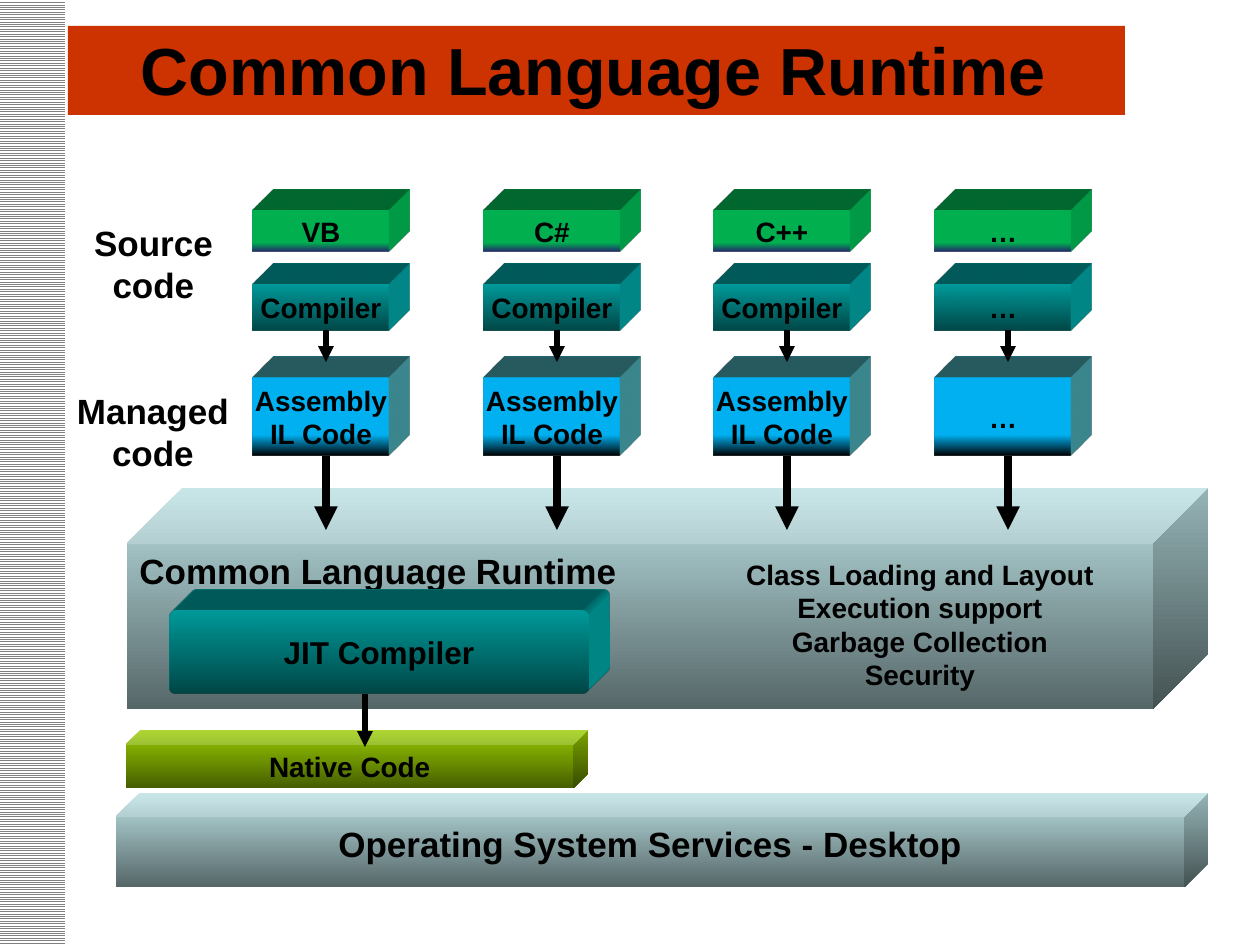
from dataclasses import dataclass
from lxml.etree import SubElement
from pptx import Presentation
from pptx.dml.color import RGBColor
from pptx.enum.dml import MSO_PATTERN
from pptx.enum.shapes import MSO_CONNECTOR, MSO_SHAPE
from pptx.enum.text import MSO_ANCHOR, MSO_AUTO_SIZE, PP_ALIGN
from pptx.oxml import parse_xml
from pptx.oxml.ns import nsdecls, qn
from pptx.util import Emu, Pt


@dataclass(frozen=True)
class Theme:
    font: str = "Arial"
    ink: str = "000000"
    banner: str = "CC3300"
    stripe: str = "808080"
    paper: str = "FFFFFF"
    source: tuple = ("00B050", "24246D", 0.78, "00B050")
    compiler: tuple = ("009999", "004747", 0, "009999")
    assembly: tuple = ("00B0F0", "000000", 0.73, "4399A1")
    platform: tuple = ("BBE0E3", "566768", 0, None)
    native: tuple = ("99CC00", "465E00", 0, None)
    title: int = 38
    heading: int = 20
    engine: int = 18
    label: int = 16


theme = Theme()
scale = 914400 / 126


def px(*lengths):
    return [Emu(round(length * scale)) for length in lengths]


def write(shape, lines, size, align=PP_ALIGN.CENTER, anchor=MSO_ANCHOR.MIDDLE, wrap=False):
    frame = shape.text_frame
    frame.auto_size = MSO_AUTO_SIZE.NONE
    frame.word_wrap = wrap
    frame.vertical_anchor = anchor
    for index, line in enumerate(lines):
        para = frame.add_paragraph() if index else frame.paragraphs[0]
        para.alignment = align
        span = para.add_run()
        span.text = line
        span.font.name = theme.font
        span.font.size = Pt(size)
        span.font.bold = True
        span.font.color.rgb = RGBColor.from_string(theme.ink)


deck = Presentation()
deck.slide_width, deck.slide_height = px(1260, 945)
page = deck.slides.add_slide(deck.slide_layouts[5])
title = page.shapes.title

banner = page.shapes.add_shape(MSO_SHAPE.RECTANGLE, *px(68, 26, 1057, 89))
banner.fill.solid()
banner.fill.fore_color.rgb = RGBColor.from_string(theme.banner)
sidebar = page.shapes.add_shape(MSO_SHAPE.RECTANGLE, *px(-1, 0, 66, 945))
sidebar.fill.patterned()
sidebar.fill.pattern = MSO_PATTERN.LIGHT_HORIZONTAL
sidebar.fill.fore_color.rgb = RGBColor.from_string(theme.stripe)
sidebar.fill.back_color.rgb = RGBColor.from_string(theme.paper)
for panel in (banner, sidebar):
    panel.line.fill.background()
    panel.shadow.inherit = False

title.left, title.top, title.width, title.height = px(63, 16, 1061, 120)
write(title, ["Common Language Runtime"], theme.title, wrap=True)
title.text_frame.margin_bottom = px(20)[0]
page.shapes._spTree.append(title._element)

cube, block = MSO_SHAPE.CUBE, MSO_SHAPE.ROUNDED_RECTANGLE
center, left = PP_ALIGN.CENTER, PP_ALIGN.LEFT
top, middle = MSO_ANCHOR.TOP, MSO_ANCHOR.MIDDLE
solids = [
    (cube, 0.25, (116, 793, 1092, 94), theme.platform,
     ["Operating System Services - Desktop"], theme.heading, center, top),
    (cube, 0.25, (127, 488, 1081, 221), theme.platform,
     ["Common Language Runtime"], theme.heading, left, top),
    (block, 0.08, (169, 610, 420, 84), theme.compiler,
     ["JIT Compiler"], theme.engine, center, middle),
    (cube, 0.25, (126, 730, 462, 58), theme.native,
     ["Native Code"], theme.label, center, middle),
]
arrows = [(365, 694, 747, 3)]
columns = [
    (253, "VB", ["Compiler"], ["Assembly", "IL Code"]),
    (484, "C#", ["Compiler"], ["Assembly", "IL Code"]),
    (714, "C++", ["Compiler"], ["Assembly", "IL Code"]),
    (935, "…", ["…"], ["…"]),
]
for x, language, compiler, assembly in columns:
    for y, height, style, lines in [
        (210, 42, theme.source, [language]),
        (284, 47, theme.compiler, compiler),
        (378, 78, theme.assembly, assembly),
    ]:
        solids.append((block, 0, (x, y, 136, height), style, lines, theme.label, center, middle))
    arrows += [(x + 73, 330, 362, 3), (x + 73, 456, 530, 4.5)]

for kind, adjustment, area, style, lines, size, align, anchor in solids:
    start, end, position, side = style
    solid = page.shapes.add_shape(kind, *px(*area))
    solid.adjustments[0] = adjustment
    solid.fill.gradient()
    solid.fill.gradient_angle = 270
    for stop, color, place in zip(solid.fill.gradient_stops, (start, end), (position, 1)):
        stop.color.rgb = RGBColor.from_string(color)
        stop.position = place
    solid.line.fill.background()
    solid.shadow.inherit = False
    if side:
        properties = solid._element.spPr
        properties.append(parse_xml(
            f'<a:scene3d {nsdecls("a")}><a:camera prst="legacyObliqueTopRight"/>'
            '<a:lightRig rig="legacyFlat3" dir="b"/></a:scene3d>'))
        properties.append(parse_xml(
            f'<a:sp3d {nsdecls("a")} extrusionH="430200" prstMaterial="legacyMatte">'
            f'<a:extrusionClr><a:srgbClr val="{side}"/></a:extrusionClr></a:sp3d>'))
    write(solid, lines, size, align, anchor)

for x, start, end, width in arrows:
    arrow = page.shapes.add_connector(MSO_CONNECTOR.STRAIGHT, *px(x, start, x, end))
    arrow.line.color.rgb = RGBColor.from_string(theme.ink)
    arrow.line.width = Pt(width)
    SubElement(arrow.line._get_or_add_ln(), qn("a:tailEnd"), type="triangle")
    SubElement(arrow._element.spPr, qn("a:effectLst"))

services = ["Class Loading and Layout", "Execution support", "Garbage Collection", "Security"]
for area, lines, size, wrap in [
    ((64, 215, 179, 97), ["Source code"], theme.heading, True),
    ((64, 383, 178, 97), ["Managed", "code"], theme.heading, False),
    ((727, 551, 386, 149), services, theme.label, True),
]:
    box = page.shapes.add_textbox(*px(*area))
    write(box, lines, size, anchor=top, wrap=wrap)

deck.save("out.pptx")
